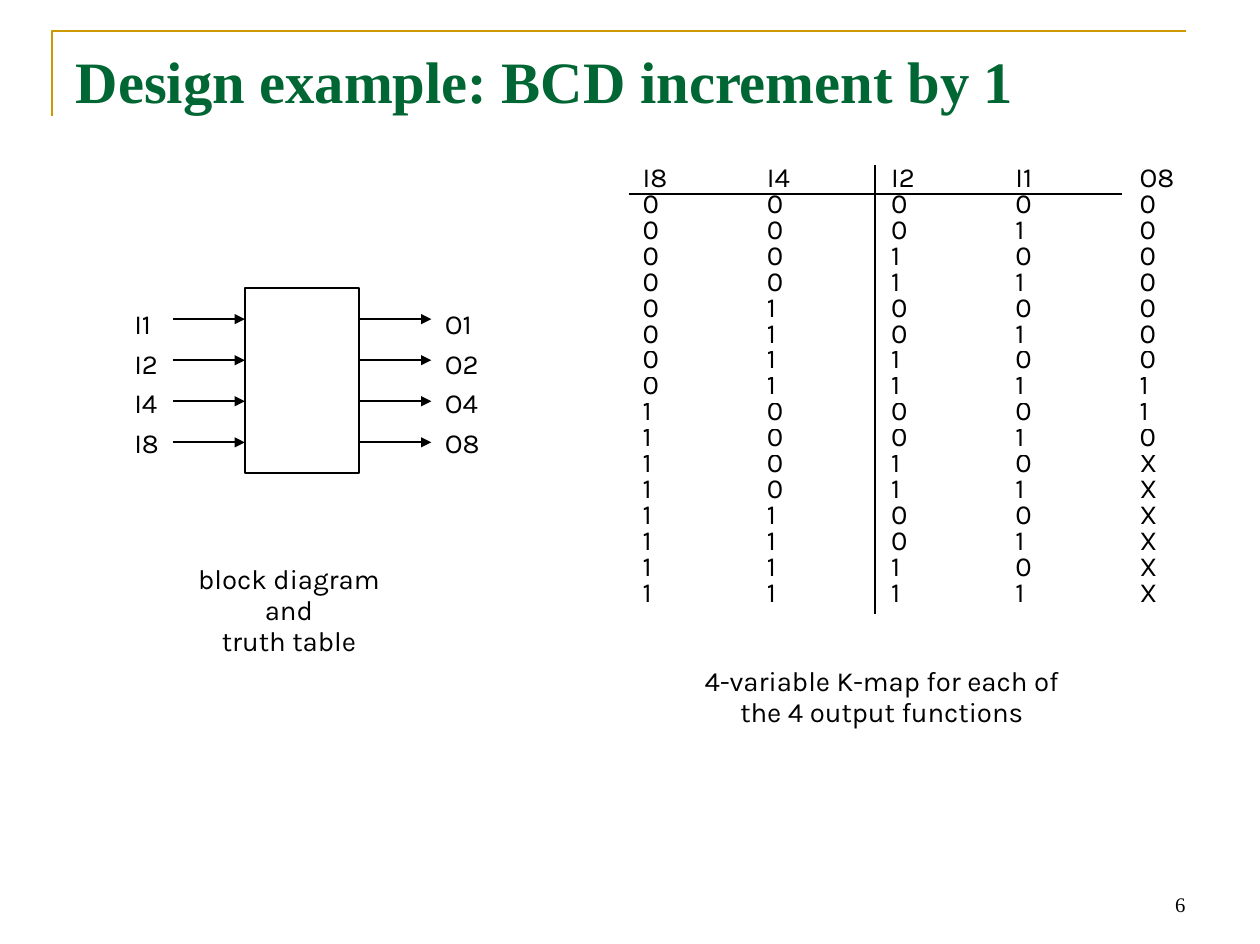
from lxml import etree
from pptx import Presentation
from pptx.dml.color import RGBColor
from pptx.enum import shapes, text
from pptx.oxml import ns
from pptx.util import Pt

COLORS = {"ink": "000000", "title": "006633", "frame": "CC9900"}
BODY, SERIF = "Karla", "Times New Roman"
LEFT, CENTER, RIGHT = text.PP_ALIGN.LEFT, text.PP_ALIGN.CENTER, text.PP_ALIGN.RIGHT


def color(name):
    return RGBColor.from_string(COLORS[name])


def add_run(p, words, size=16, font=BODY, ink="ink", bold=False):
    r = p.add_run()
    r.text = words
    r.font.size, r.font.name, r.font.bold = Pt(size), font, bold
    r.font.color.rgb = color(ink)


def set_margins(obj, x, y):
    obj.margin_left = obj.margin_right = Pt(x)
    obj.margin_top = obj.margin_bottom = Pt(y)


def add_lines(s, box, lines, spacing, align=LEFT):
    tf = s.shapes.add_textbox(*map(Pt, box)).text_frame
    set_margins(tf, 1.5, 2)
    for i, line in enumerate(lines):
        p = tf.add_paragraph() if i else tf.paragraphs[0]
        p.alignment, p.line_spacing = align, spacing
        add_run(p, line)


def add_line(s, x1, y1, x2, y2, arrow=False):
    c = s.shapes.add_connector(shapes.MSO_CONNECTOR.STRAIGHT, Pt(x1), Pt(y1), Pt(x2), Pt(y2))
    c.line.width = Pt(1)
    c.line.color.rgb = color("ink")
    if arrow:
        etree.SubElement(c.line._get_or_add_ln(), ns.qn("a:tailEnd"), type="triangle")
    etree.SubElement(c._element.spPr, ns.qn("a:effectLst"))


def frame(s, x, y, w, h):
    fb = s.shapes.build_freeform(Pt(x), Pt(y + h))
    fb.add_line_segments([(Pt(x), Pt(y)), (Pt(x + w), Pt(y))], close=False)
    sp = fb.convert_to_shape()
    sp.shadow.inherit = False
    sp.fill.background()
    sp.line.width = Pt(1.5)
    sp.line.color.rgb = color("frame")


def title(s, x, y, w, h):
    sp = s.shapes.title
    sp.left, sp.top, sp.width, sp.height = map(Pt, (x, y, w, h))
    tf = sp.text_frame
    set_margins(tf, 7.2, 3.6)
    tf.word_wrap = True
    tf.auto_size = text.MSO_AUTO_SIZE.NONE
    tf.vertical_anchor = text.MSO_ANCHOR.TOP
    p = tf.paragraphs[0]
    p.alignment = LEFT
    add_run(p, "Design example: BCD increment by 1", 34, SERIF, "title", True)


def block_diagram(s, x, y, w, h):
    label_w, arrow_w, block_w = 23.8, 41.8, 66.2
    block_x = x + label_w + arrow_w
    sp = s.shapes.add_shape(shapes.MSO_SHAPE.RECTANGLE, Pt(block_x), Pt(y), Pt(block_w), Pt(h))
    sp.shadow.inherit = False
    sp.fill.background()
    sp.line.width = Pt(1)
    sp.line.color.rgb = color("ink")
    for prefix, label_x, arrow_x in (
        ("I", x, block_x - arrow_w),
        ("O", x + w - label_w, block_x + block_w),
    ):
        labels = [f"{prefix}{weight}" for weight in (1, 2, 4, 8)]
        add_lines(s, (label_x, y + 5, label_w, 95.8), labels, 1.2)
        for i in range(len(labels)):
            arrow_y = y + 18 + 23.8 * i
            add_line(s, arrow_x, arrow_y, arrow_x + arrow_w, arrow_y, arrow=True)


def truth_rows():
    rows = [["I8", "I4", "I2", "I1", "O8"]]
    for n in range(16):
        output = "X" if n > 9 else str((n + 1) % 10 // 8)
        rows.append([*f"{n:04b}", output])
    return rows


def truth_table(s, x, y, w, h):
    rows = truth_rows()
    step, row_h = 72, 15
    table_x, table_y = x + 8, y + 2
    widths = [step] * 4 + [w - 8 - 4 * step]
    table = s.shapes.add_table(
        len(rows), len(widths), Pt(table_x), Pt(table_y), Pt(sum(widths)), Pt(row_h * len(rows))
    ).table
    table.first_row = table.horz_banding = False
    for col, width in zip(table.columns, widths):
        col.width = Pt(width)
    for row, values in zip(table.rows, rows):
        row.height = Pt(row_h)
        for cell, value in zip(row.cells, values):
            cell.fill.background()
            set_margins(cell, 0, 0)
            p = cell.text_frame.paragraphs[0]
            p.line_spacing = Pt(row_h)
            add_run(p, value)
    add_line(s, x, y + 16.5, x + 286, y + 16.5)
    add_line(s, x + 142.6, y, x + 142.6, y + h)


def slide_number(s, x, y, w, h):
    tf = s.shapes.add_textbox(*map(Pt, (x, y, w, h))).text_frame
    set_margins(tf, 7.2, 3.6)
    tf.word_wrap = True
    tf.vertical_anchor = text.MSO_ANCHOR.BOTTOM
    p = tf.paragraphs[0]
    p.alignment = RIGHT
    add_run(p, "6", 12, SERIF)


def main():
    prs = Presentation()
    prs.slide_width, prs.slide_height = Pt(730), Pt(547.2)
    s = prs.slides.add_slide(prs.slide_layouts[5])
    frame(s, 30.2, 18, 657.2, 49)
    title(s, 36.7, 22.3, 656.6, 90.7)
    truth_table(s, 364.3, 95.8, 324, 260)
    block_diagram(s, 76.3, 167, 203.8, 107.3)
    add_lines(s, (97.9, 324.7, 139, 64), ["block diagram", "and", "truth table"], Pt(18), CENTER)
    add_lines(
        s,
        (383.8, 383.8, 254.2, 46),
        ["4-variable K-map for each of", "the 4 output functions"],
        Pt(18),
        CENTER,
    )
    slide_number(s, 523.4, 498.2, 170.6, 36.7)
    prs.save("out.pptx")


if __name__ == "__main__":
    main()
